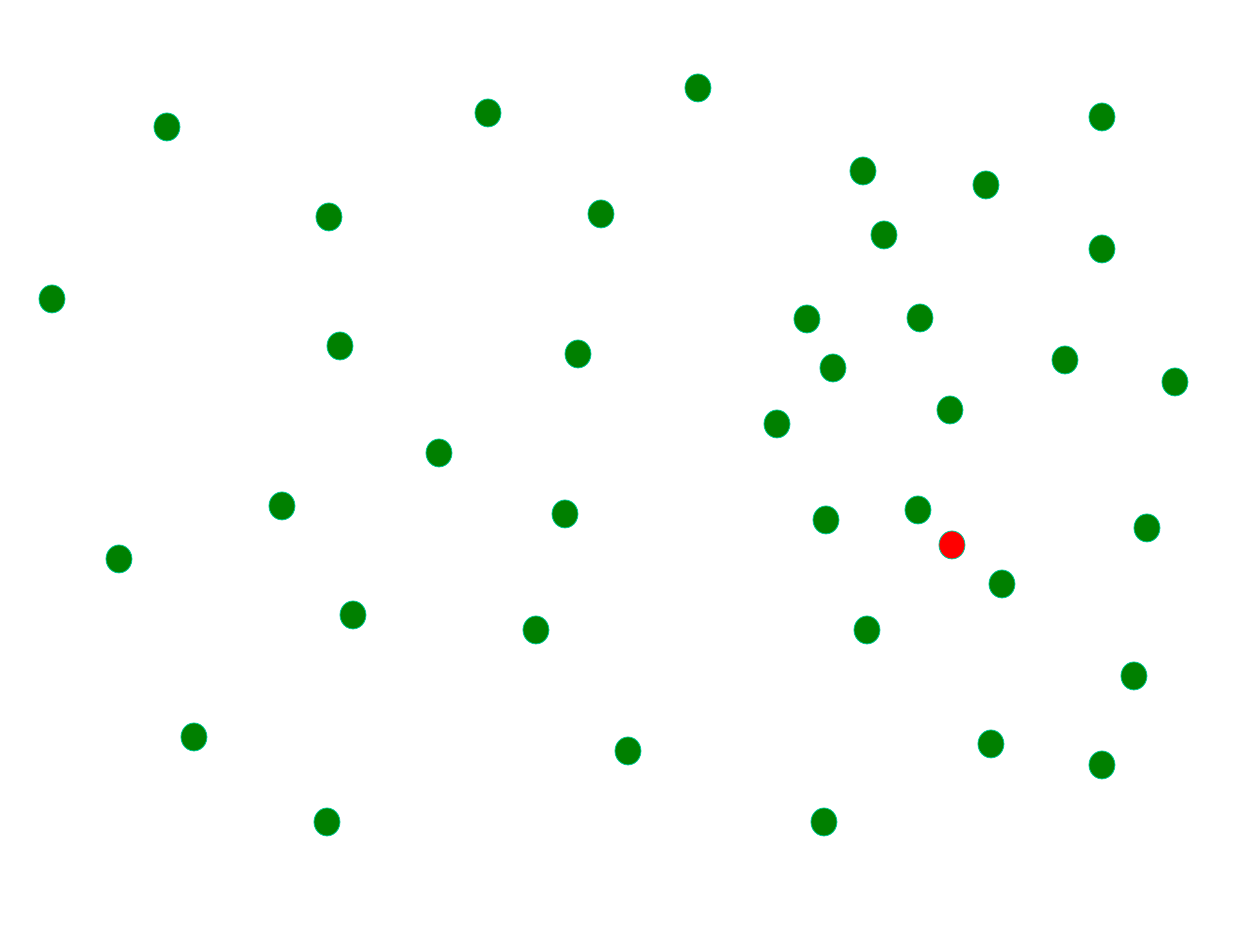
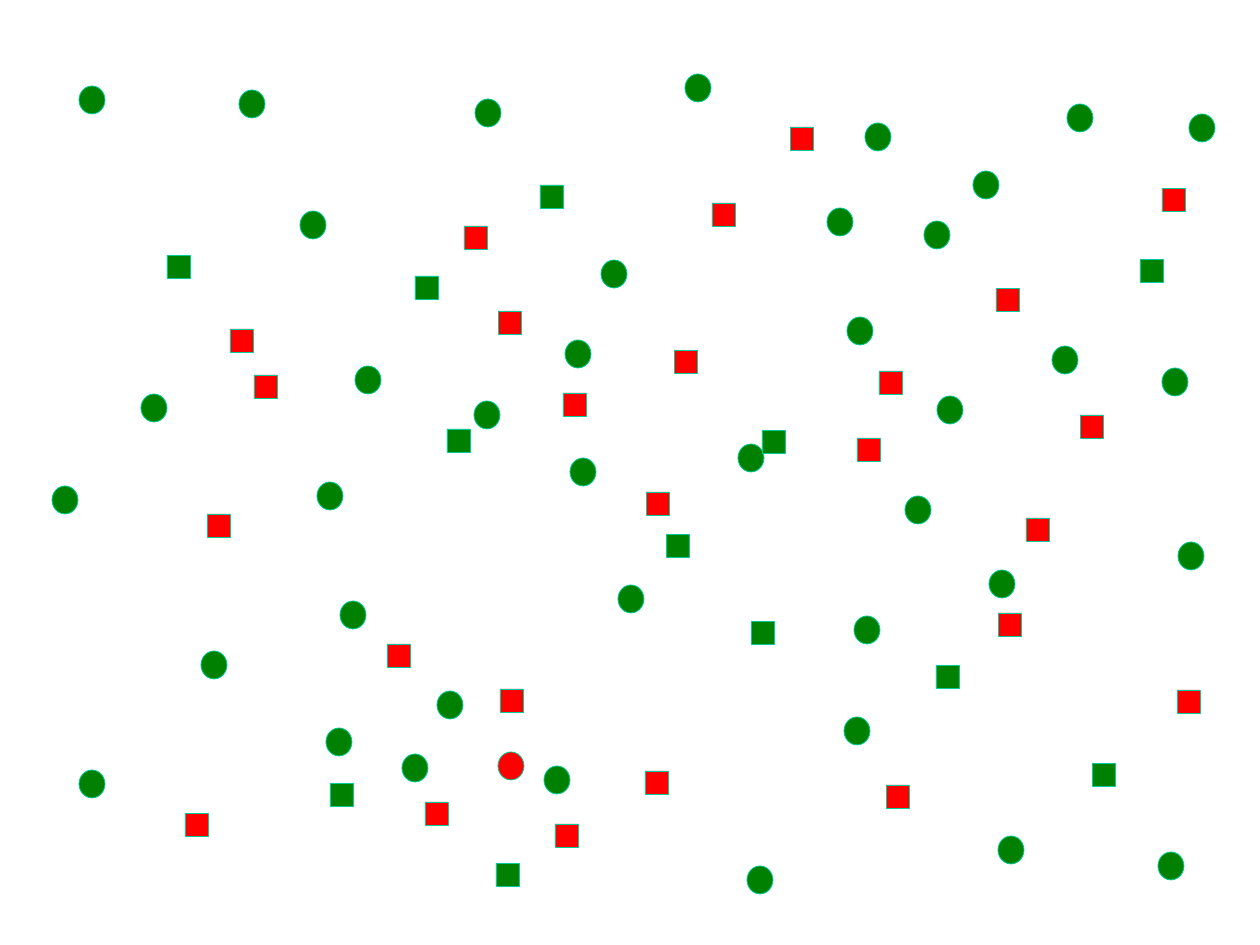
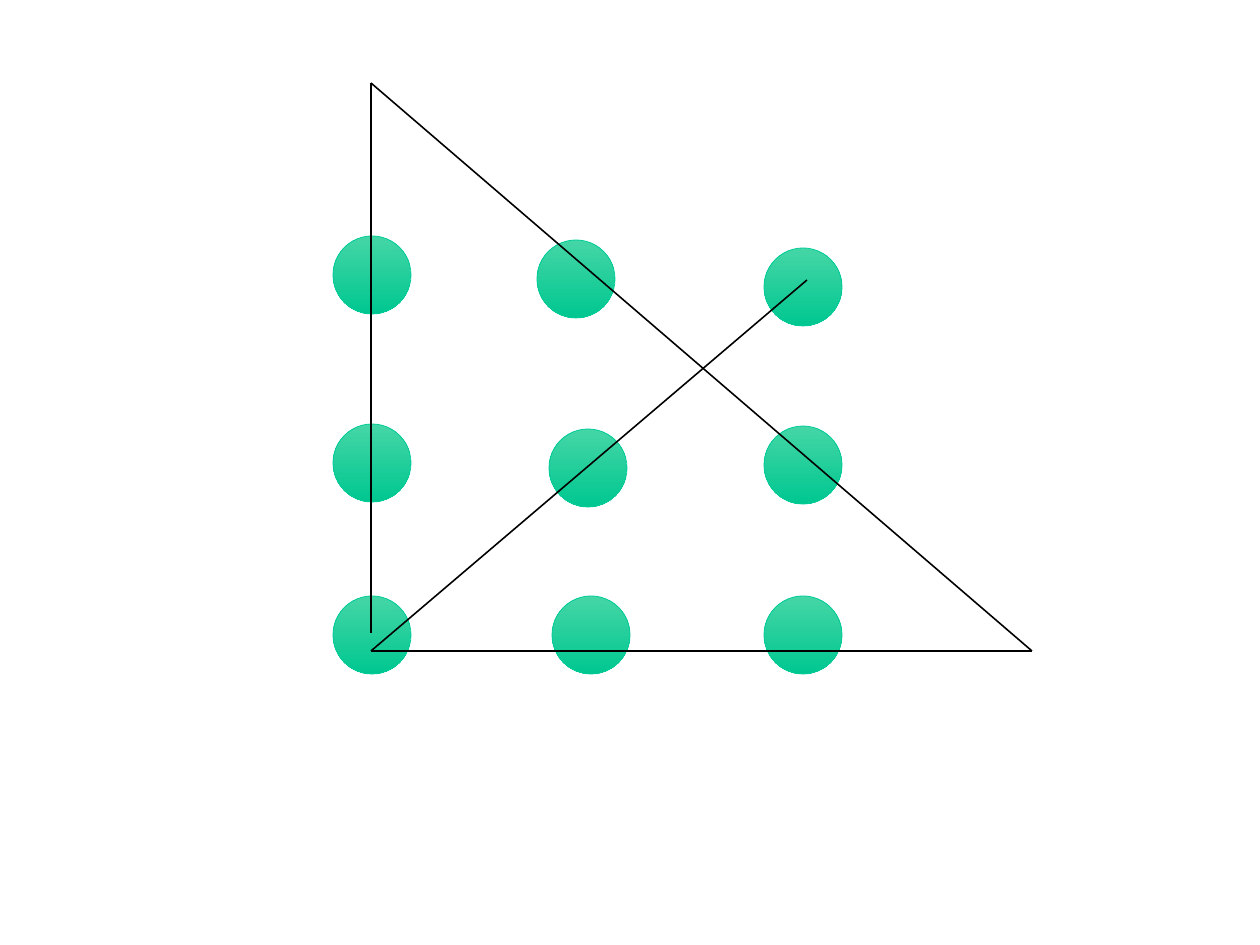
from dataclasses import dataclass
from itertools import pairwise

from lxml.etree import SubElement
from pptx import Presentation
from pptx.dml.color import RGBColor
from pptx.enum.shapes import MSO_CONNECTOR as Connector, MSO_SHAPE as Preset
from pptx.oxml.ns import qn
from pptx.shapes.autoshape import Shape
from pptx.slide import Slide
from pptx.util import Emu, Pt

PX = 8000  # 45 px to the centimetre
PAGE_WIDTH, PAGE_HEIGHT = 1260, 945
BLANK_LAYOUT = 6

RED = RGBColor(0xFF, 0x00, 0x00)
GREEN = RGBColor(0x00, 0x80, 0x00)
TEAL = RGBColor(0x00, 0xCC, 0x99)
LIGHT_TEAL = RGBColor(0x45, 0xD6, 0xA6)
DEEP_TEAL = RGBColor(0x00, 0xC7, 0x90)
BLACK = RGBColor(0x00, 0x00, 0x00)

Point = tuple[int, int]


@dataclass(frozen=True)
class Mark:
    """A kind of marker; two colours make a top-to-bottom gradient."""
    preset: Preset
    width: int
    height: int
    colours: tuple[RGBColor, ...]


RED_DOT = Mark(Preset.OVAL, 26, 28, (RED,))
GREEN_DOT = Mark(Preset.OVAL, 26, 28, (GREEN,))
RED_SQUARE = Mark(Preset.RECTANGLE, 23, 23, (RED,))
GREEN_SQUARE = Mark(Preset.RECTANGLE, 23, 23, (GREEN,))
PUZZLE_DOT = Mark(Preset.OVAL, 78, 78, (LIGHT_TEAL, DEEP_TEAL))

Scatter = dict[Mark, list[Point]]

ONE_FEATURE: Scatter = {
    RED_DOT: [(939, 531)],
    GREEN_DOT: [
        (1089, 751), (154, 113), (1089, 103), (39, 285), (937, 396), (314, 808),
        (685, 74), (269, 492), (854, 616), (523, 616), (794, 305), (565, 340),
        (106, 545), (181, 723), (327, 332), (588, 200), (850, 157), (813, 506),
        (615, 737), (973, 171), (1089, 235), (1052, 346), (1121, 662), (552, 500),
        (1162, 368), (811, 808), (820, 354), (426, 439), (871, 221), (905, 496),
        (764, 410), (907, 304), (475, 99), (316, 203), (340, 601), (1134, 514),
        (989, 570), (978, 730),
    ],
}

TWO_FEATURES: Scatter = {
    RED_DOT: [(498, 752)],
    GREEN_DOT: [
        (998, 836), (79, 86), (1189, 114), (141, 394), (937, 396), (326, 728),
        (685, 74), (52, 486), (854, 616), (437, 691), (618, 585), (565, 340),
        (201, 651), (79, 770), (300, 211), (601, 260), (865, 123), (570, 458),
        (544, 766), (973, 171), (1067, 104), (1052, 346), (1158, 852), (474, 401),
        (1162, 368), (747, 866), (847, 317), (355, 366), (924, 221), (905, 496),
        (738, 444), (827, 208), (475, 99), (239, 90), (340, 601), (1178, 542),
        (989, 570), (844, 717), (317, 482), (402, 754),
    ],
    RED_SQUARE: [
        (712, 203), (674, 350), (464, 226), (790, 127), (646, 492), (996, 288),
        (207, 514), (230, 329), (879, 371), (886, 785), (387, 644), (500, 689),
        (857, 438), (185, 813), (1080, 415), (1026, 518), (555, 824), (1162, 188),
        (998, 613), (1177, 690), (645, 771), (563, 393), (498, 311), (254, 375),
        (425, 802),
    ],
    GREEN_SQUARE: [
        (415, 276), (1092, 763), (540, 185), (751, 621), (330, 783), (1140, 259),
        (762, 430), (167, 255), (447, 429), (496, 863), (666, 534), (936, 665),
    ],
}

NINE_DOTS: Scatter = {
    PUZZLE_DOT: [
        (333, 236), (537, 240), (764, 248),
        (333, 424), (549, 429), (764, 426),
        (333, 596), (552, 596), (764, 596),
    ],
}
PUZZLE_ROUTE: list[Point] = [
    (371, 633), (371, 83), (1032, 651), (371, 651), (807, 280),
]


def px(*lengths: int) -> list[Emu]:
    return [Emu(length * PX) for length in lengths]


def paint(shape: Shape, colours: tuple[RGBColor, ...]) -> None:
    fill = shape.fill
    if len(colours) == 1:
        fill.solid()
        fill.fore_color.rgb = colours[0]
        return
    fill.gradient()
    fill.gradient_angle = 270
    for stop, colour in zip(fill.gradient_stops, colours):
        stop.color.rgb = colour


def draw_scatter(page: Slide, scatter: Scatter) -> None:
    for mark, corners in scatter.items():
        for left, top in corners:
            shape = page.shapes.add_shape(
                mark.preset, *px(left, top, mark.width, mark.height))
            shape.shadow.inherit = False
            paint(shape, mark.colours)
            shape.line.color.rgb = TEAL
            shape.line.width = Pt(0.5)


def draw_route(page: Slide, route: list[Point]) -> None:
    for start, end in pairwise(route):
        stroke = page.shapes.add_connector(Connector.STRAIGHT, *px(*start, *end))
        stroke.line.color.rgb = BLACK
        stroke.line.width = Pt(1)
        SubElement(stroke._element.spPr, qn("a:effectLst"))


def main() -> None:
    deck = Presentation()
    deck.slide_width, deck.slide_height = px(PAGE_WIDTH, PAGE_HEIGHT)
    for scatter in (ONE_FEATURE, TWO_FEATURES, NINE_DOTS):
        page = deck.slides.add_slide(deck.slide_layouts[BLANK_LAYOUT])
        draw_scatter(page, scatter)
    draw_route(page, PUZZLE_ROUTE)
    deck.save("out.pptx")


if __name__ == "__main__":
    main()
